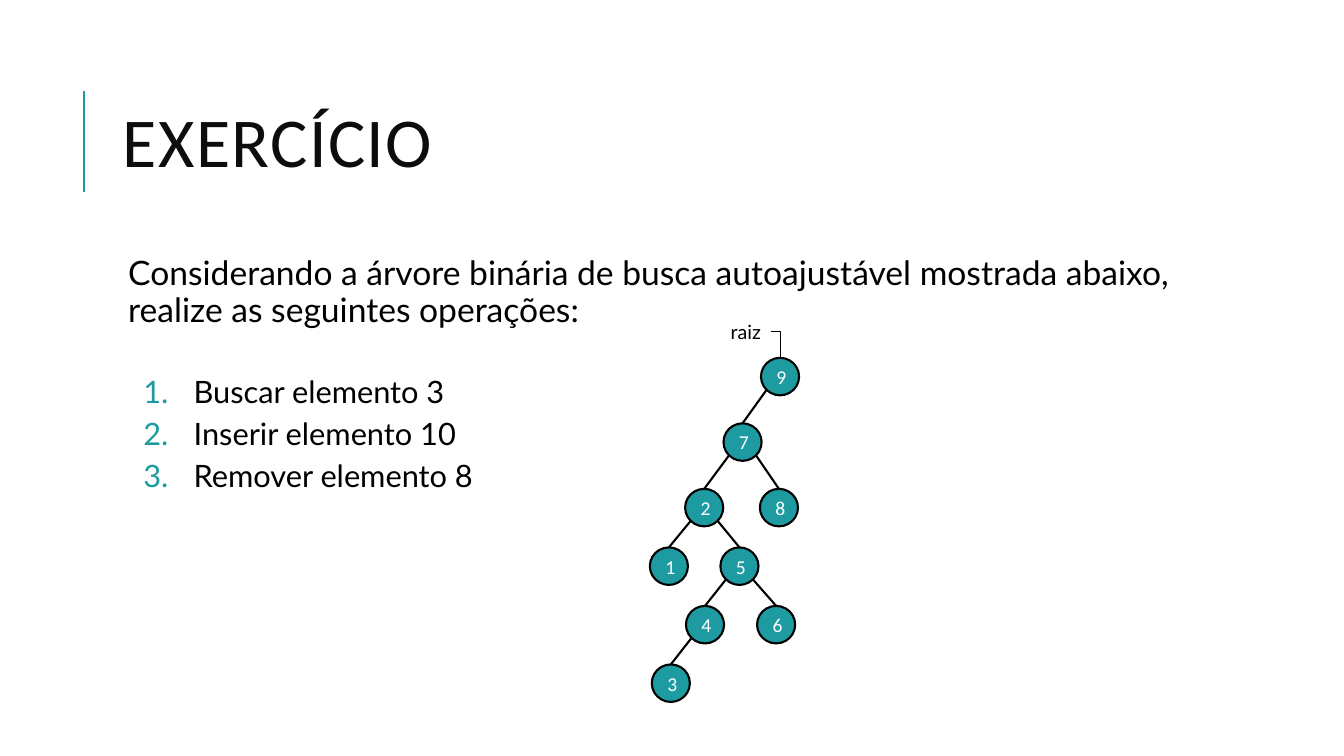
from lxml import etree
from pptx import Presentation
from pptx.dml.color import RGBColor
from pptx.enum.shapes import MSO_CONNECTOR, MSO_SHAPE
from pptx.enum.text import MSO_ANCHOR, PP_ALIGN
from pptx.oxml.ns import qn
from pptx.util import Pt

TEAL = RGBColor(0x1D, 0x9B, 0xA1)
BLACK = RGBColor(0, 0, 0)
WHITE = RGBColor(0xFF, 0xFF, 0xFF)
TITLE_COLOR = RGBColor(0x0D, 0x0D, 0x0D)

prs = Presentation()
prs.slide_width, prs.slide_height = Pt(960), Pt(540)
slide = prs.slides.add_slide(prs.slide_layouts[6])
shapes = slide.shapes


def add_line(x1, y1, x2, y2, color, width, kind=MSO_CONNECTOR.STRAIGHT):
    """Draw a connector without shadow between two points."""
    line = shapes.add_connector(kind, Pt(x1), Pt(y1), Pt(x2), Pt(y2))
    line.line.color.rgb = color
    line.line.width = Pt(width)
    etree.SubElement(line._element.spPr, qn("a:effectLst"))
    return line


def write(paragraph, text, font, size, color):
    """Add a formatted run to a paragraph."""
    run = paragraph.add_run()
    run.text = text
    run.font.name, run.font.size = font, Pt(size)
    run.font.color.rgb = color
    return run


# Title with accent bar
add_line(60, 136.8, 60, 65, TEAL, 1.5)
title = shapes.add_textbox(Pt(80.8), Pt(46), Pt(765.4), Pt(118)).text_frame
title.word_wrap = True
title.vertical_anchor = MSO_ANCHOR.MIDDLE
title.paragraphs[0].line_spacing = 0.8
run = write(title.paragraphs[0], "EXERCÍCIO", "Calibri", 50, TITLE_COLOR)
run.font._element.set("spc", "100")

# Statement and numbered operations
body = shapes.add_textbox(Pt(80.8), Pt(180), Pt(765.4), Pt(316.8)).text_frame
body.word_wrap = True
body.margin_left = body.margin_right = body.margin_top = body.margin_bottom = Pt(3.6)
statement = body.paragraphs[0]
statement.line_spacing = 0.9
statement.space_after = Pt(32)
statement._p.get_or_add_pPr().set("marL", str(Pt(7.2)))
write(statement, "Considerando a árvore binária de busca autoajustável mostrada abaixo, "
      "realize as seguintes operações:", "Lato", 24, BLACK)

for operation in ("Buscar elemento 3", "Inserir elemento 10", "Remover elemento 8"):
    item = body.add_paragraph()
    item.line_spacing = 0.9
    item.space_before, item.space_after = Pt(2), Pt(4)
    props = item._p.get_or_add_pPr()
    props.set("marL", str(Pt(54)))
    props.set("indent", str(-Pt(36)))
    bullet_color = etree.SubElement(props, qn("a:buClr"))
    etree.SubElement(bullet_color, qn("a:srgbClr"), val=str(TEAL))
    etree.SubElement(props, qn("a:buFont"), typeface="+mj-lt")
    etree.SubElement(props, qn("a:buAutoNum"), type="arabicPeriod")
    write(item, operation, "Lato", 22, BLACK)

# Search tree: key -> (left, level, parent)
NODE_W, NODE_H = 27.2, 26.8
LEVEL_TOPS = [255.6, 302.4, 349.2, 391, 432.8, 474.6]
TREE = {
    "9": (543.6, 0, None),
    "7": (516.8, 1, "9"),
    "2": (489.4, 2, "7"),
    "8": (542.8, 2, "7"),
    "1": (464.2, 3, "2"),
    "5": (514.6, 3, "2"),
    "4": (490, 4, "5"),
    "6": (540.8, 4, "5"),
    "3": (465.6, 5, "4"),
}
DIAGONAL = 0.5 ** 1.5  # offset of an ellipse's 45-degree point, per diameter

for key, (left, level, parent) in TREE.items():
    top = LEVEL_TOPS[level]
    if parent:
        parent_left, parent_level, _ = TREE[parent]
        side = 1 if left > parent_left else -1
        add_line(parent_left + NODE_W * (0.5 + side * DIAGONAL),
                 LEVEL_TOPS[parent_level] + NODE_H * (0.5 + DIAGONAL),
                 left + NODE_W / 2, top, BLACK, 1.5)
    node = shapes.add_shape(MSO_SHAPE.OVAL, Pt(left), Pt(top), Pt(NODE_W), Pt(NODE_H))
    node.shadow.inherit = False
    node.fill.solid()
    node.fill.fore_color.rgb = TEAL
    node.line.color.rgb = BLACK
    node.line.width = Pt(1.5)
    node.text_frame.vertical_anchor = MSO_ANCHOR.MIDDLE
    label = node.text_frame.paragraphs[0]
    label.alignment = PP_ALIGN.CENTER
    write(label, key, "Calibri", 14, WHITE)

# Root label and its bent pointer
root = shapes.add_textbox(Pt(514.8), Pt(224.8), Pt(36), Pt(24.2)).text_frame
root.word_wrap = False
write(root.paragraphs[0], "raiz", "Lato", 14, BLACK)
pointer = add_line(550.8, 237, 557.2, 255.6, BLACK, 0.75, MSO_CONNECTOR.ELBOW)
pointer._element.spPr.find(qn("a:prstGeom")).set("prst", "bentConnector2")

prs.save("out.pptx")
